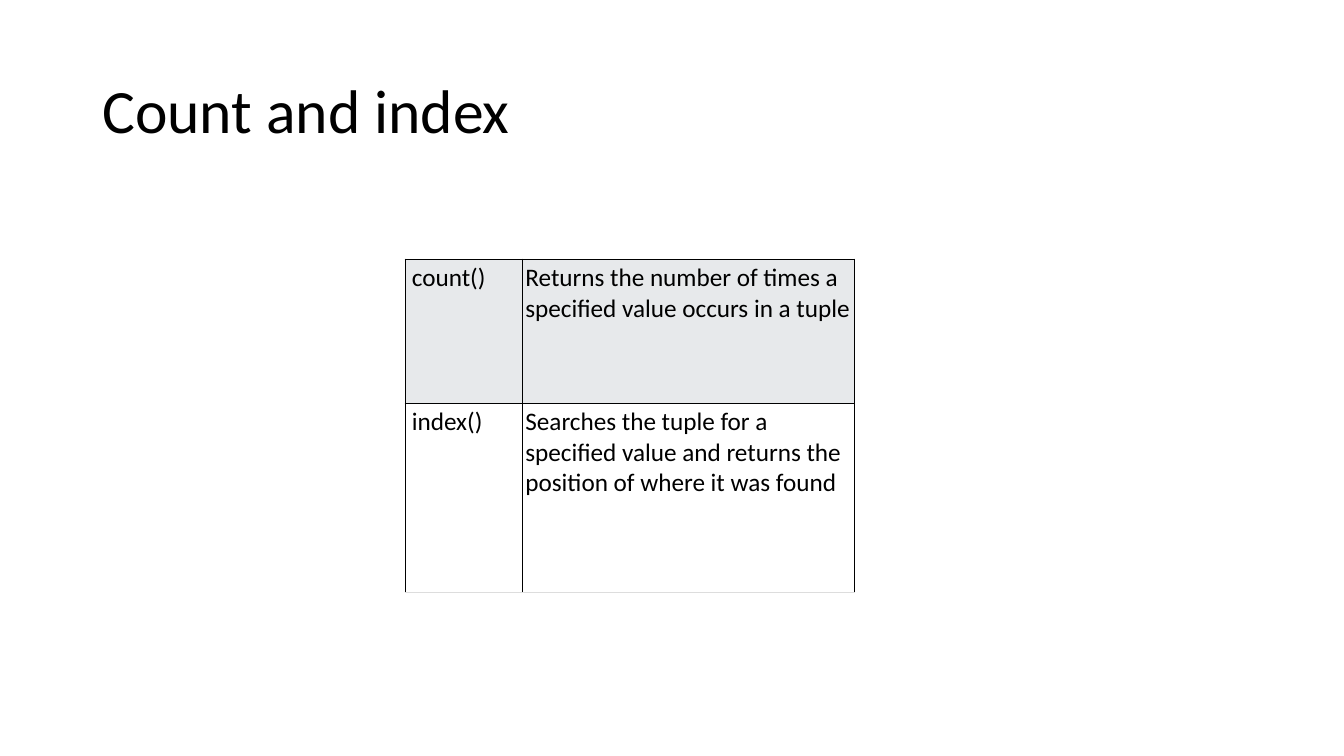
from lxml.etree import SubElement
from pptx import Presentation
from pptx.dml.color import RGBColor
from pptx.enum.text import MSO_ANCHOR as Anchor, PP_ALIGN as Align
from pptx.oxml.ns import qn
from pptx.util import Cm, Pt

BLACK, GREY, WHITE, LIGHT = "000000", "E7E9EB", "FFFFFF", "DDDDDD"
METHODS = [
    ("count()", "Returns the number of times a specified value occurs in a tuple"),
    ("index()", "Searches the tuple for a specified value and returns the "
                "position of where it was found"),
]
COLUMN_WIDTHS = (2.95, 8.38)
ROW_HEIGHTS = (3.63, 4.78)
ROW_FILLS = (GREY, WHITE)
LEFT_MARGINS = (0.17, 0.08)


def color(value):
    return RGBColor.from_string(value)


def set_values(target, values):
    for name, value in values.items():
        setattr(target, name, value)


def write(frame, text, size):
    paragraph = frame.paragraphs[0]
    paragraph.alignment = Align.LEFT
    run = paragraph.add_run()
    run.text = text
    set_values(run.font, {"name": "Calibri", "size": Pt(size)})
    run.font.color.rgb = color(BLACK)
    return paragraph


def add_border(cell, side, value, width):
    line = SubElement(cell._tc.get_or_add_tcPr(), qn(f"a:ln{side}"), w=str(Pt(width)))
    fill = SubElement(line, qn("a:solidFill"))
    SubElement(fill, qn("a:srgbClr"), val=value)


def add_title(slide, text, left, top, width, height):
    title = slide.shapes.title
    set_values(title, {"left": Cm(left), "top": Cm(top),
                       "width": Cm(width), "height": Cm(height)})
    set_values(title.text_frame, {
        "word_wrap": True, "vertical_anchor": Anchor.MIDDLE,
        "margin_left": Cm(0.25), "margin_right": Cm(0.25),
        "margin_top": Cm(0.13), "margin_bottom": Cm(0.13)})
    write(title.text_frame, text, 44).line_spacing = 0.9


def add_method_table(slide, left, top):
    table = slide.shapes.add_table(
        len(METHODS), len(COLUMN_WIDTHS), Cm(left), Cm(top),
        Cm(sum(COLUMN_WIDTHS)), Cm(sum(ROW_HEIGHTS))).table
    set_values(table, {"first_row": False, "horz_banding": False})
    for column, width in zip(table.columns, COLUMN_WIDTHS):
        column.width = Cm(width)
    for row, height in zip(table.rows, ROW_HEIGHTS):
        row.height = Cm(height)

    for row_index, texts in enumerate(METHODS):
        is_last = row_index == len(METHODS) - 1
        for column_index, text in enumerate(texts):
            cell = table.cell(row_index, column_index)
            set_values(cell, {
                "margin_left": Cm(LEFT_MARGINS[column_index]),
                "margin_right": Cm(0.08), "margin_top": Cm(0.08),
                "margin_bottom": Cm(0.08), "vertical_anchor": Anchor.TOP})
            # Borders come before the fill in the cell properties
            for side in "LRTB":
                pale = is_last and side == "B"
                add_border(cell, side, *((LIGHT, 0.8) if pale else (BLACK, 0.75)))
            cell.fill.solid()
            cell.fill.fore_color.rgb = color(ROW_FILLS[row_index])
            write(cell.text_frame, text, 18)


def main():
    presentation = Presentation()
    set_values(presentation, {"slide_width": Cm(33.87), "slide_height": Cm(19.05)})
    slide = presentation.slides.add_slide(presentation.slide_layouts[5])
    slide.background.fill.solid()
    slide.background.fill.fore_color.rgb = color(WHITE)

    # Title
    add_title(slide, "Count and index", 2.33, 1.01, 29.21, 3.68)
    # Tuple methods
    add_method_table(slide, 10.21, 6.53)
    presentation.save("out.pptx")


if __name__ == "__main__":
    main()
